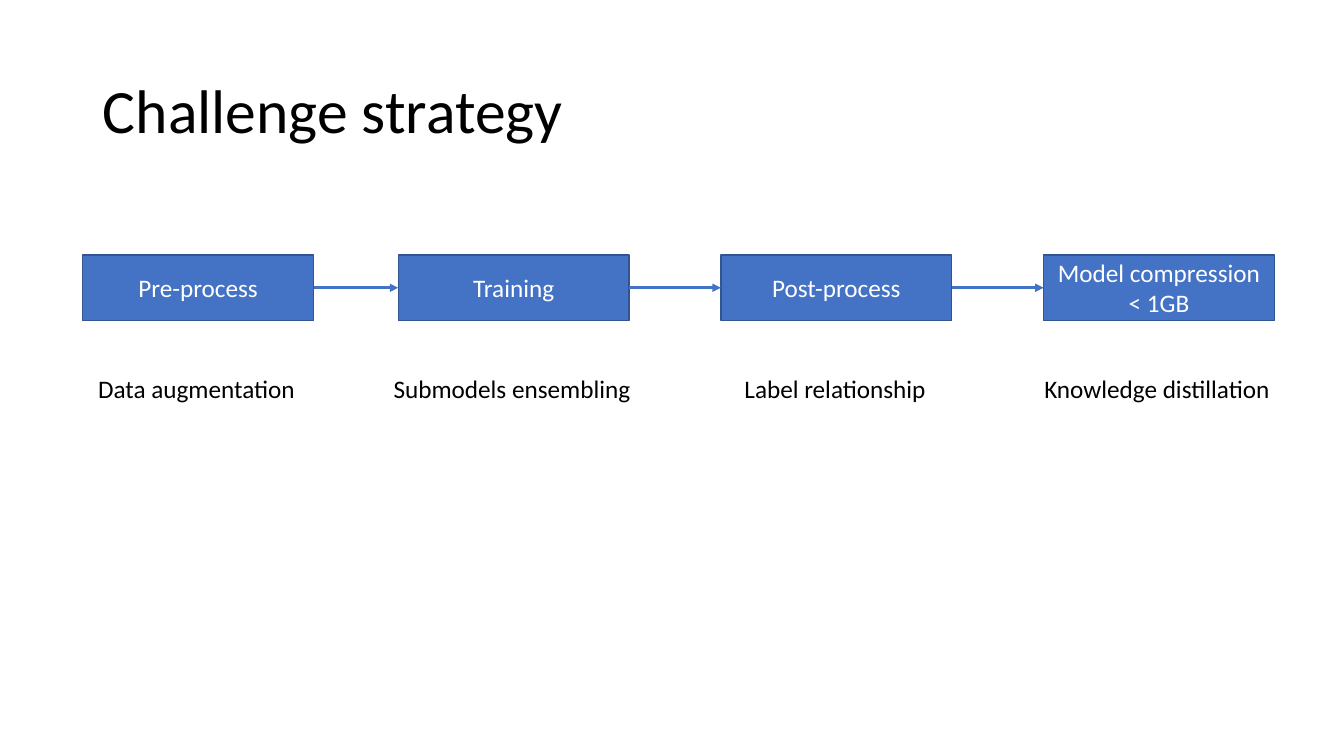
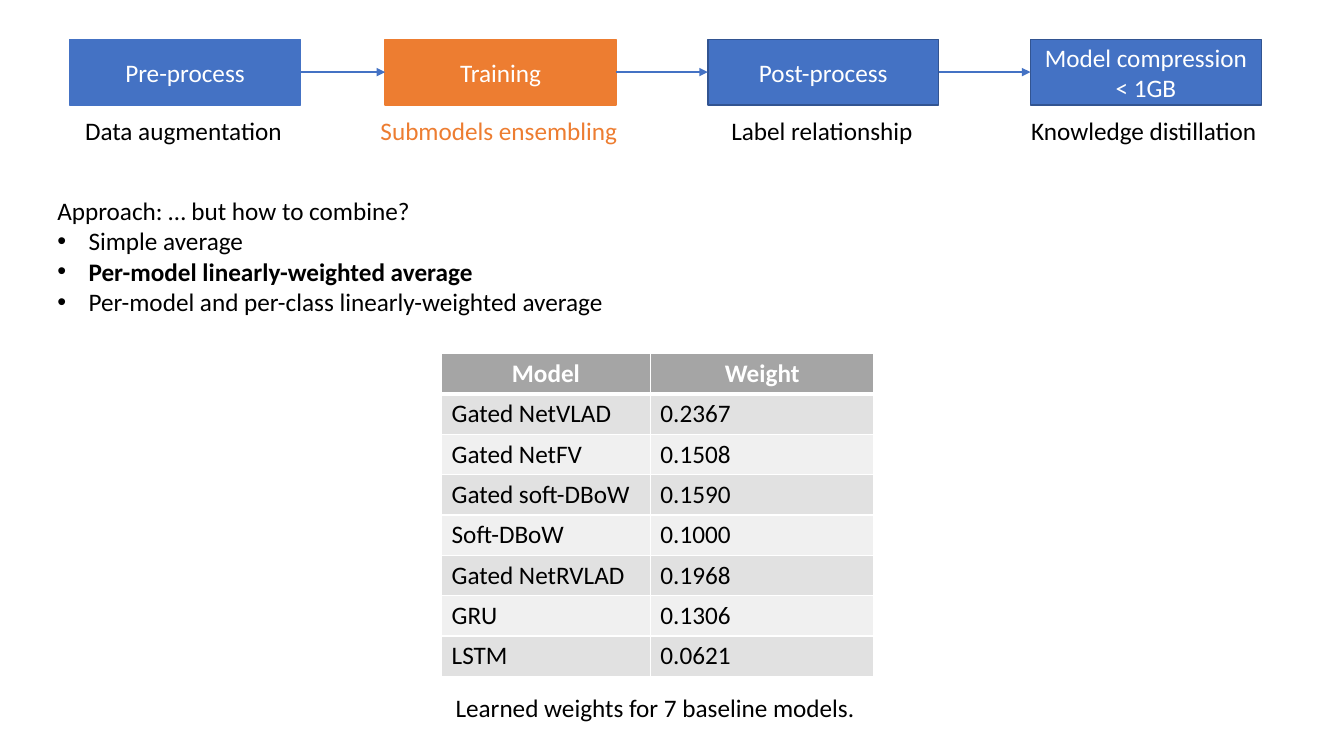
"""Build two slides on the challenge strategy and the learned model weights."""
from lxml import etree
from pptx import Presentation
from pptx.dml.color import RGBColor
from pptx.enum import shapes, text
from pptx.oxml import ns
from pptx.util import Inches, Pt

FONT = "Calibri"
HUES = {
    "blue": "4472C4", "edge": "325491", "orange": "ED7D31",
    "black": "000000", "white": "FFFFFF",
    "head": "A5A5A5", "odd": "E1E1E1", "even": "F0F0F0",
}
STEPS = [
    ("Pre-process", "Data augmentation", 0, 2.18),
    ("Training", "Submodels ensembling", 3.13, 2.58),
    ("Post-process", "Label relationship", 6.33, 2.02),
    ("Model compression < 1GB", "Knowledge distillation", 9.53, 2.47),
]
BOX_W, BOX_H = 2.29, 0.65
LINE_H = 0.4
IDEAS = [
    ("Approach: … but how to combine?", {}),
    ("Simple average", {"dot": True}),
    ("Per-model linearly-weighted average", {"dot": True, "bold": True}),
    ("Per-model and per-class linearly-weighted average", {"dot": True}),
]
ROWS = [
    ("Model", "Weight"),
    ("Gated NetVLAD", "0.2367"),
    ("Gated NetFV", "0.1508"),
    ("Gated soft-DBoW", "0.1590"),
    ("Soft-DBoW", "0.1000"),
    ("Gated NetRVLAD", "0.1968"),
    ("GRU", "0.1306"),
    ("LSTM", "0.0621"),
]
COLS = [2.07, 2.22]


def hue(name):
    return RGBColor.from_string(HUES[name])


def node(parent, tag, **attrs):
    return etree.SubElement(parent, ns.qn(tag), attrs)


def write(para, words, size=18, color="black", bold=False, mid=False, dot=False):
    if dot:
        props = para._p.get_or_add_pPr()
        props.set("marL", str(Inches(0.31)))
        props.set("indent", str(-Inches(0.31)))
        node(props, "a:buFont", typeface="Arial")
        node(props, "a:buChar", char="•")
    para.alignment = text.PP_ALIGN.CENTER if mid else text.PP_ALIGN.LEFT
    run = para.add_run()
    run.text = words
    font = run.font
    font.name, font.size, font.bold = FONT, Pt(size), bold
    font.color.rgb = hue(color)


def note(slide, left, top, width, height, lines):
    box = slide.shapes.add_textbox(*map(Inches, (left, top, width, height)))
    frame = box.text_frame
    frame.word_wrap = False
    for i, (words, form) in enumerate(lines):
        para = frame.add_paragraph() if i else frame.paragraphs[0]
        write(para, words, **form)


def block(slide, left, top, words, fill, edge):
    box = slide.shapes.add_shape(
        shapes.MSO_SHAPE.RECTANGLE, *map(Inches, (left, top, BOX_W, BOX_H)))
    box.shadow.inherit = False
    box.fill.solid()
    box.fill.fore_color.rgb = hue(fill)
    box.line.color.rgb = hue(edge)
    box.line.width = Pt(1)
    frame = box.text_frame
    frame.word_wrap = True
    frame.vertical_anchor = text.MSO_ANCHOR.MIDDLE
    write(frame.paragraphs[0], words, color="white", mid=True)
    return box


def arrow(slide, start, end):
    link = slide.shapes.add_connector(shapes.MSO_CONNECTOR.STRAIGHT, 0, 0, 0, 0)
    link.begin_connect(start, 3)
    link.end_connect(end, 1)
    link.line.color.rgb = hue("blue")
    link.line.width = Pt(2)
    node(link.line._get_or_add_ln(), "a:tailEnd", type="triangle")
    node(link._element.spPr, "a:effectLst")


def flow(slide, left, top, gap, looks):
    boxes = []
    for i, (name, label, shift, width) in enumerate(STEPS):
        fill, edge, ink = looks.get(i, ("blue", "edge", "black"))
        x = left + shift
        boxes.append(block(slide, x, top, name, fill, edge))
        note(slide, x + (BOX_W - width) / 2, top + BOX_H + gap, width, LINE_H,
             [(label, {"color": ink})])
    for start, end in zip(boxes, boxes[1:]):
        arrow(slide, start, end)


def border(cell, low):
    props = cell._tc.get_or_add_tcPr()
    for i, (side, width) in enumerate(zip("LRTB", (1, 1, 1, low))):
        line = etree.Element(ns.qn("a:ln" + side), w=str(Pt(width)))
        node(node(line, "a:solidFill"), "a:srgbClr", val=HUES["white"])
        props.insert(i, line)


def grid(slide, left, top):
    table = slide.shapes.add_table(
        len(ROWS), len(COLS), Inches(left), Inches(top),
        Inches(sum(COLS)), Inches(LINE_H * len(ROWS))).table
    table.horz_banding = False
    for col, width in zip(table.columns, COLS):
        col.width = Inches(width)
    for r, row in enumerate(ROWS):
        table.rows[r].height = Inches(LINE_H)
        head = r == 0
        for c, words in enumerate(row):
            cell = table.cell(r, c)
            cell.margin_top = cell.margin_bottom = Inches(0.04)
            cell.vertical_anchor = text.MSO_ANCHOR.MIDDLE
            cell.fill.solid()
            cell.fill.fore_color.rgb = hue(
                "head" if head else "odd" if r % 2 else "even")
            border(cell, 3 if head else 1)
            write(cell.text_frame.paragraphs[0], words, bold=head, mid=head,
                  color="white" if head else "black")


def title(slide, words):
    head = slide.shapes.title
    head.left, head.top, head.width, head.height = map(
        Inches, (0.92, 0.4, 11.5, 1.45))
    frame = head.text_frame
    frame.auto_size = text.MSO_AUTO_SIZE.NONE
    frame.vertical_anchor = text.MSO_ANCHOR.MIDDLE
    para = frame.paragraphs[0]
    para.line_spacing = 0.9
    write(para, words, size=44)


def main():
    deck = Presentation()
    deck.slide_width, deck.slide_height = Inches(13.33), Inches(7.5)

    plan = deck.slides.add_slide(deck.slide_layouts[5])
    title(plan, "Challenge strategy")
    flow(plan, 0.82, 2.53, 0.47, {})

    train = deck.slides.add_slide(deck.slide_layouts[6])
    flow(train, 0.69, 0.39, 0.05, {
        0: ("blue", "blue", "black"), 1: ("orange", "orange", "orange")})
    note(train, 0.47, 1.89, 5.68, 1.31, IDEAS)
    grid(train, 4.38, 3.51)
    note(train, 4.42, 6.82, 4.21, LINE_H,
         [("Learned weights for 7 baseline models.", {})])

    deck.save("out.pptx")


if __name__ == "__main__":
    main()
